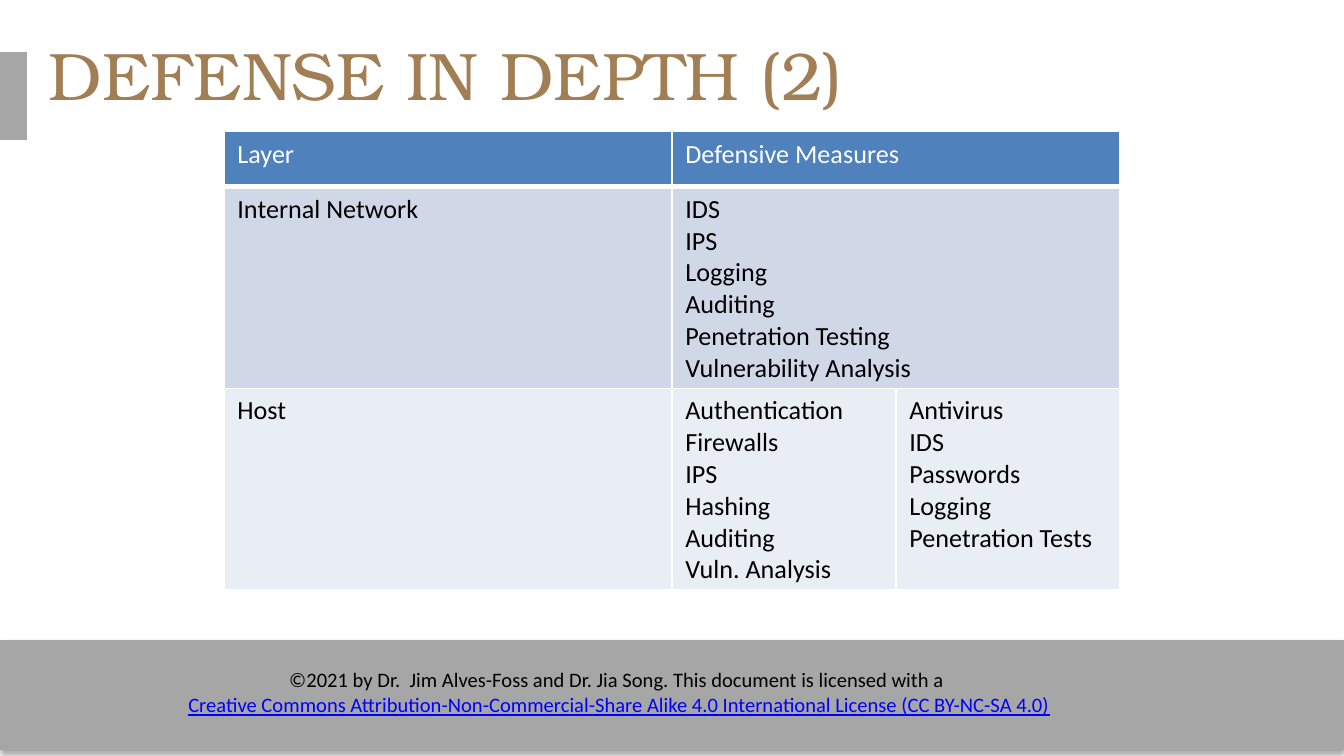
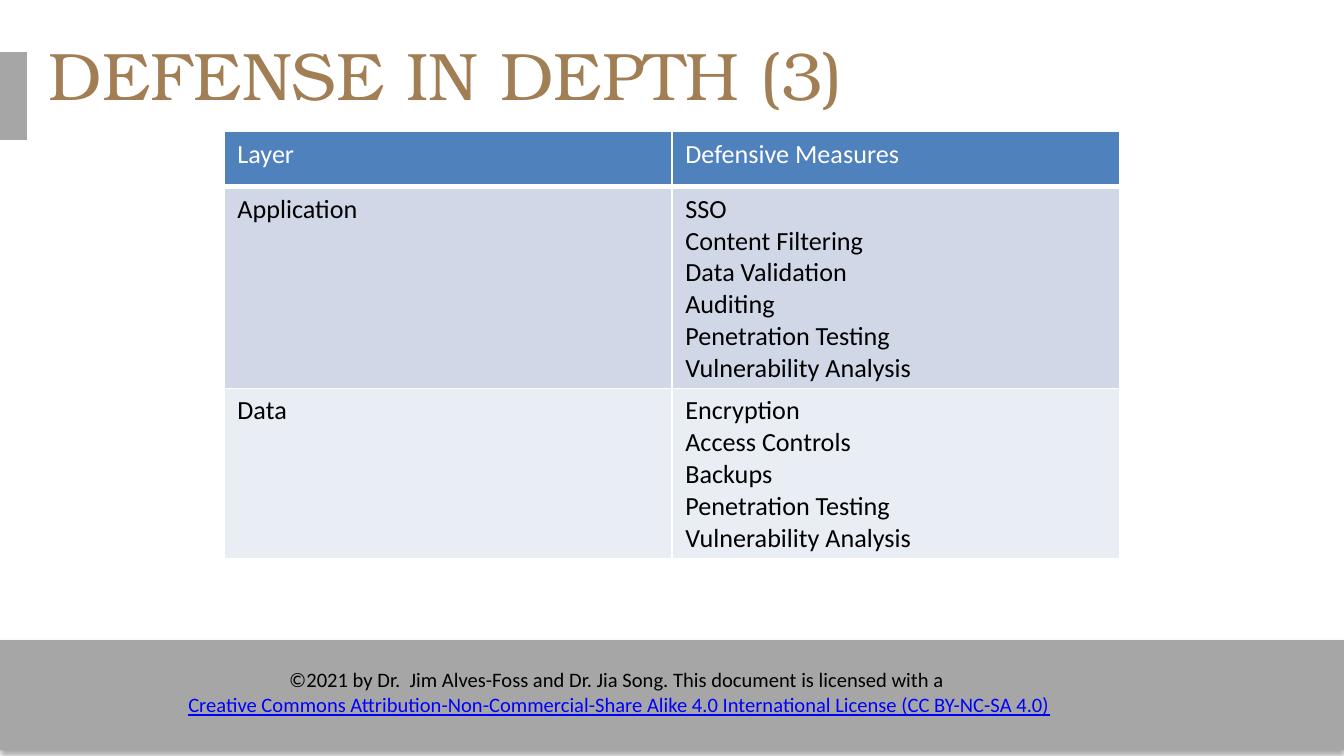
"""Build the two defense in depth slides with layer tables and a licence footer."""
from dataclasses import dataclass, field
from typing import Any, NamedTuple

from lxml import etree
from pptx import Presentation
from pptx import util as u
from pptx.dml.color import RGBColor
from pptx.enum import shapes, text
from pptx.oxml import ns

Pt = u.Pt


@dataclass(frozen=True)
class Theme:
    title_font: str = "TeX Gyre Bonum"
    body_font: str = "Calibri"
    title_size: float = 36
    table_size: float = 14
    footer_size: float = 11
    gold: str = "A27E55"
    gray: str = "A6A6A6"
    black: str = "000000"
    white: str = "FFFFFF"
    link: str = "0000FF"
    header_fill: str = "4F81BD"
    body_fills: tuple[str, str] = ("D0D8E8", "E9EDF4")


class Box(NamedTuple):
    left: float
    top: float
    width: float
    height: float

    def lengths(self) -> list[u.Length]:
        return [Pt(value) for value in self]


@dataclass(frozen=True)
class Band:
    box: Box
    shadow: bool = False


@dataclass(frozen=True)
class Line:
    content: str
    color: str
    format: dict[str, Any] = field(default_factory=dict)


@dataclass(frozen=True)
class LayerSlide:
    title: str
    rows: list[list[list[str]]]


THEME = Theme()
SLIDE_WIDTH, SLIDE_HEIGHT = 720, 405
TITLE_BOX = Box(26, 16.5, 648, 45.5)
FOOTER_BOX = Box(72.5, 354, 518.5, 34)
BANDS = [
    Band(Box(0, 343, SLIDE_WIDTH, 59), shadow=True),
    Band(Box(-2, 28, 16.5, 47)),
]
TABLE_LEFT, TABLE_TOP, COLUMN_WIDTH, ROW_HEIGHT = 120, 70.5, 240, 29.5
CELL_PADDING, LINE_SPACING = 7.2, 1.2
FOOTER = [
    Line(
        "©2021 by Dr.  Jim Alves-Foss and Dr. Jia Song. This document is licensed with a ",
        THEME.black,
    ),
    Line(
        "Creative Commons Attribution-Non-Commercial-Share Alike 4.0 "
        "International License (CC BY-NC-SA 4.0)",
        THEME.link,
        {"underline": True},
    ),
]
HEADER = [["Layer"], ["Defensive Measures"]]
TESTS = ["Penetration Testing", "Vulnerability Analysis"]
SLIDES = [
    LayerSlide("DEFENSE IN DEPTH (2)", [
        HEADER,
        [["Internal Network"], ["IDS", "IPS", "Logging", "Auditing", *TESTS]],
        [
            ["Host"],
            ["Authentication", "Firewalls", "IPS", "Hashing", "Auditing", "Vuln. Analysis"],
            ["Antivirus", "IDS", "Passwords", "Logging", "Penetration Tests"],
        ],
    ]),
    LayerSlide("DEFENSE IN DEPTH (3)", [
        HEADER,
        [["Application"], ["SSO", "Content Filtering", "Data Validation", "Auditing", *TESTS]],
        [["Data"], ["Encryption", "Access Controls", "Backups", *TESTS]],
    ]),
]


def apply(target: Any, values: dict[str, Any]) -> None:
    for name, value in values.items():
        setattr(target, name, value)


def add_element(parent: Any, tag: str, **attributes: str) -> Any:
    return etree.SubElement(parent, ns.qn(tag), attributes)


def fill_solid(target: Any, color: str) -> None:
    target.fill.solid()
    target.fill.fore_color.rgb = RGBColor.from_string(color)


def write_lines(frame: Any, lines: list[Line], font: dict[str, Any],
                align: Any = text.PP_ALIGN.LEFT) -> None:
    for index, line in enumerate(lines):
        paragraph = frame.add_paragraph() if index else frame.paragraphs[0]
        paragraph.alignment = align
        run = paragraph.add_run()
        run.text = line.content
        apply(run.font, {"bold": False, **font, **line.format})
        run.font.color.rgb = RGBColor.from_string(line.color)


def add_band(slide: Any, band: Band) -> None:
    shape = slide.shapes.add_shape(shapes.MSO_SHAPE.RECTANGLE, *band.box.lengths())
    fill_solid(shape, THEME.gray)
    shape.line.fill.background()
    shape.shadow.inherit = False
    if band.shadow:
        effects = shape._element.spPr.find(ns.qn("a:effectLst"))
        shadow = add_element(effects, "a:outerShdw", blurRad=str(Pt(3.1)),
                             dist=str(Pt(1.8)), dir="5400000", rotWithShape="0")
        color = add_element(shadow, "a:srgbClr", val=THEME.black)
        add_element(color, "a:alpha", val="35000")


def add_footer(slide: Any) -> None:
    frame = slide.shapes.add_textbox(*FOOTER_BOX.lengths()).text_frame
    apply(frame, {"word_wrap": True, "auto_size": text.MSO_AUTO_SIZE.SHAPE_TO_FIT_TEXT})
    font = {"name": THEME.body_font, "size": Pt(THEME.footer_size)}
    write_lines(frame, FOOTER, font, text.PP_ALIGN.CENTER)


def set_title(slide: Any, title: str) -> None:
    shape = slide.shapes.title
    apply(shape, dict(zip(Box._fields, TITLE_BOX.lengths())))
    apply(shape.text_frame, {
        "margin_left": 0, "margin_top": 0, "margin_right": 0, "margin_bottom": 0,
        "word_wrap": True, "auto_size": text.MSO_AUTO_SIZE.NONE,
        "vertical_anchor": text.MSO_ANCHOR.MIDDLE,
    })
    font = {"name": THEME.title_font, "size": Pt(THEME.title_size)}
    write_lines(shape.text_frame, [Line(title, THEME.gold)], font)


def set_borders(cell: Any, bottom: float, top: float) -> None:
    properties = cell._tc.get_or_add_tcPr()
    for side, width in {"L": 1, "R": 1, "T": top, "B": bottom}.items():
        border = add_element(properties, f"a:ln{side}", w=str(Pt(width)))
        add_element(add_element(border, "a:solidFill"), "a:srgbClr", val=THEME.white)


def add_layer_table(slide: Any, rows: list[list[list[str]]]) -> None:
    columns = max(len(row) for row in rows)
    body_height = sum(
        CELL_PADDING + max(map(len, row)) * THEME.table_size * LINE_SPACING
        for row in rows[1:]
    )
    box = Box(TABLE_LEFT, TABLE_TOP, 2 * COLUMN_WIDTH, ROW_HEIGHT + body_height)
    frame = slide.shapes.add_table(len(rows), columns, *box.lengths())
    table = frame.table
    table.horz_banding = False
    for index, column in enumerate(table.columns):
        column.width = Pt(COLUMN_WIDTH / (columns - 1) if index else COLUMN_WIDTH)
    font = {"name": THEME.body_font, "size": Pt(THEME.table_size)}
    for row_index, row in enumerate(rows):
        table.rows[row_index].height = Pt(ROW_HEIGHT)
        is_header = row_index == 0
        fill = THEME.header_fill if is_header else THEME.body_fills[(row_index - 1) % 2]
        color = THEME.white if is_header else THEME.black
        for column_index in range(columns):
            cell = table.cell(row_index, column_index)
            set_borders(cell, 3 if is_header else 1, 3 if row_index == 1 else 1)
            fill_solid(cell, fill)
            if column_index < len(row):
                lines = [Line(content, color) for content in row[column_index]]
                write_lines(cell.text_frame, lines, font)
        if len(row) < columns:
            table.cell(row_index, len(row) - 1).merge(table.cell(row_index, columns - 1))
    frame.height = Pt(box.height)


def add_layer_slide(presentation: Any, content: LayerSlide) -> None:
    slide = presentation.slides.add_slide(presentation.slide_layouts.get_by_name("Title Only"))
    fill_solid(slide.background, THEME.white)
    for band in BANDS:
        add_band(slide, band)
    add_footer(slide)
    set_title(slide, content.title)
    add_layer_table(slide, content.rows)


def main() -> None:
    presentation = Presentation()
    apply(presentation, {"slide_width": Pt(SLIDE_WIDTH), "slide_height": Pt(SLIDE_HEIGHT)})
    for content in SLIDES:
        add_layer_slide(presentation, content)
    presentation.save("out.pptx")


if __name__ == "__main__":
    main()
